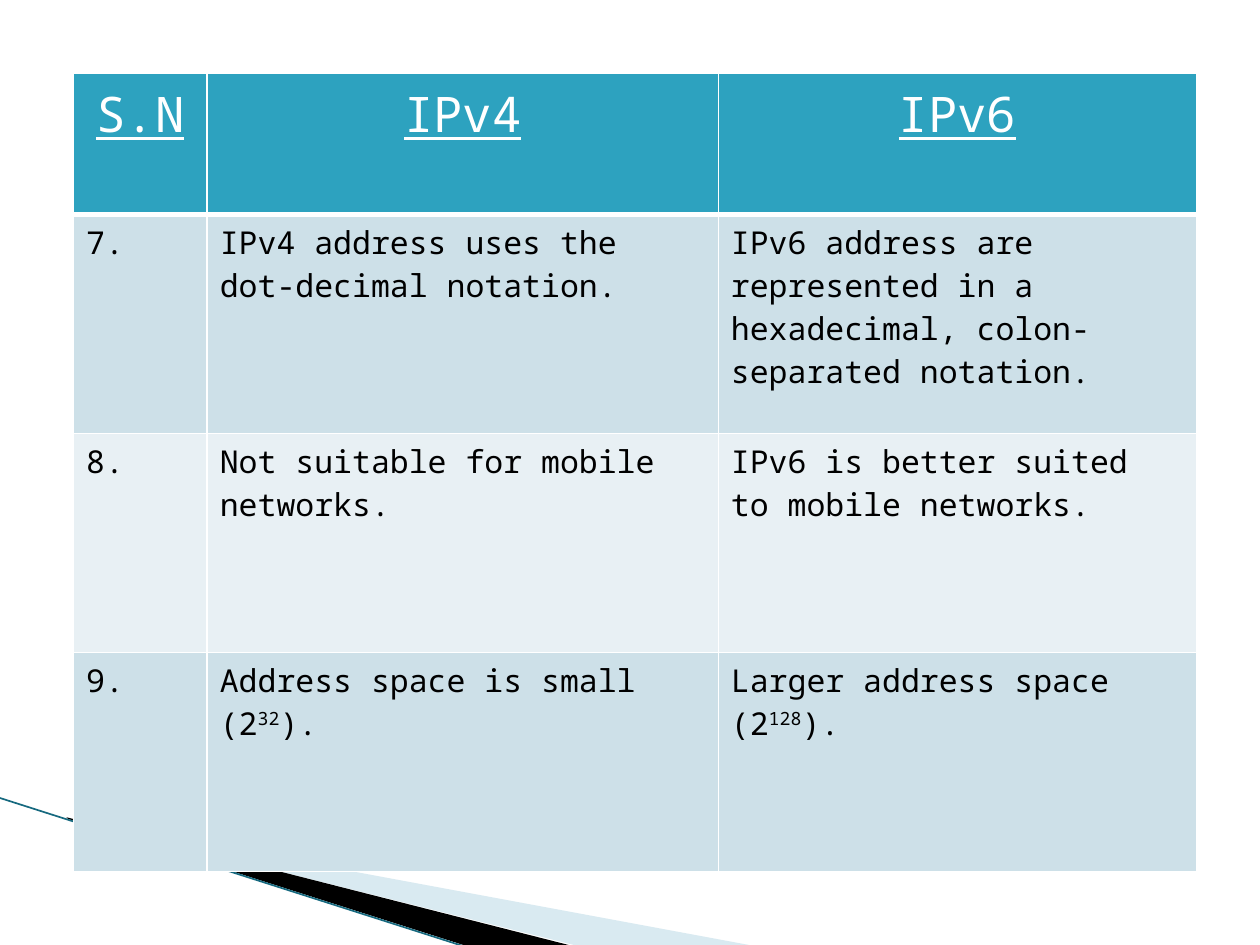
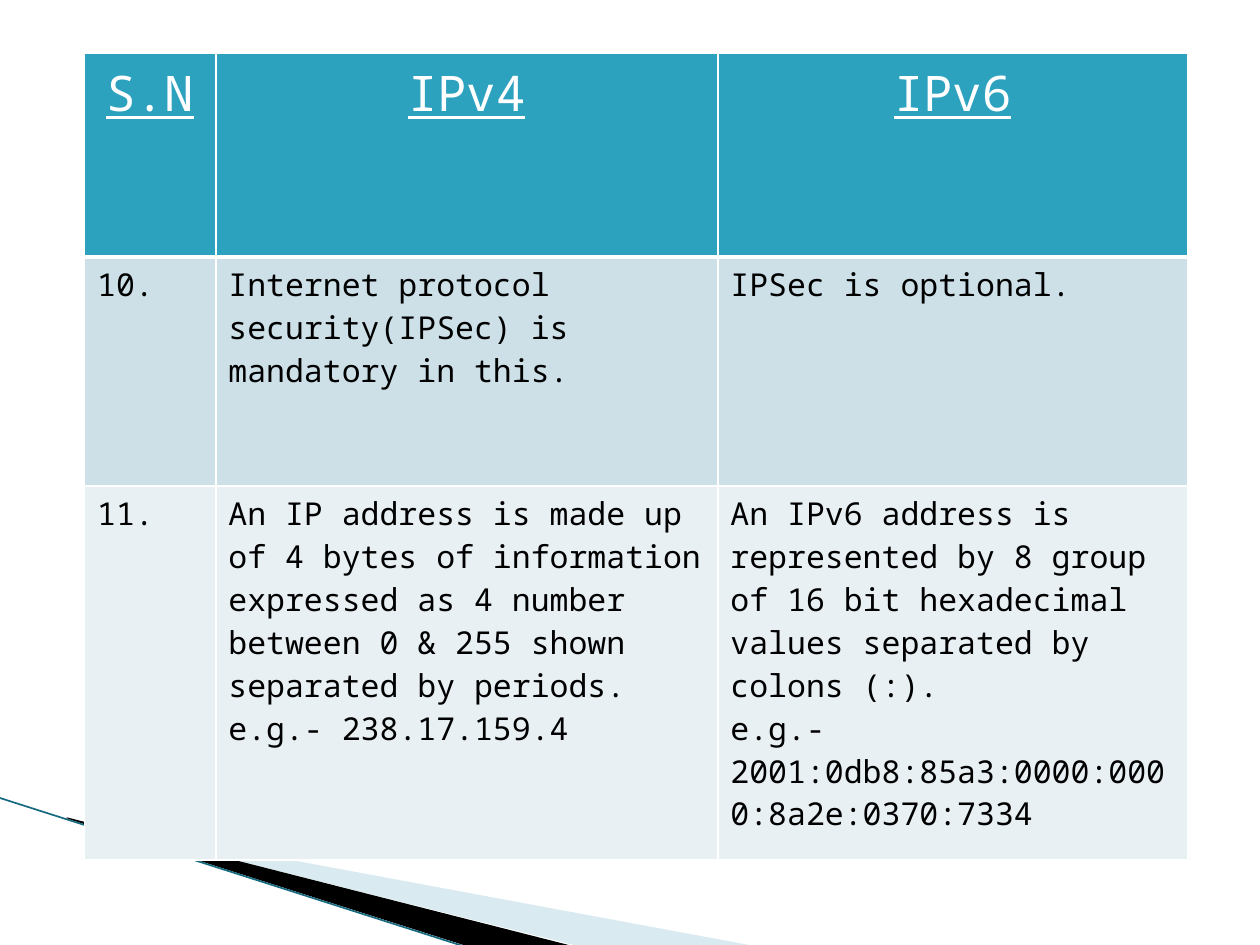
"""Build two slides that compare IPv4 with IPv6 in tables."""
import pptx
import pptx.util
import pptx.dml.color
import pptx.enum.dml
import pptx.enum.shapes
import pptx.enum.text
import pptx.oxml
import pptx.oxml.ns
from dataclasses import dataclass

HEAD = ("S.N", "IPv4", "IPv6")
SHARES = (0.119, 0.455, 0.426)

SLIDES = [
    {
        "left": 42, "top": 42, "width": 642,
        "heights": (80.6, 125.2, 125.2, 125.2),
        "rows": [
            ("7.", "IPv4 address uses the dot-decimal notation.",
             "IPv6 address are represented in a hexadecimal, colon-separated notation."),
            ("8.", "Not suitable for mobile networks.",
             "IPv6 is better suited to mobile networks."),
            ("9.", "Address space is small (2^32^).",
             "Larger address space (2^128^)."),
        ],
    },
    {
        "left": 48.3, "top": 30.2, "width": 630.5,
        "heights": (116.6, 131, 213.8),
        "rows": [
            ("10.", "Internet protocol security(IPSec) is mandatory in this.",
             "IPSec is optional."),
            ("11.",
             "An IP address is made up of 4 bytes of information expressed as 4 number "
             "between 0 & 255 shown separated by periods.\n"
             "e.g.- 238.17.159.4",
             "An IPv6 address is represented by 8 group of 16 bit hexadecimal values "
             "separated by colons (:).\n"
             "e.g.- 2001:0db8:85a3:0000:0000:8a2e:0370:7334"),
        ],
    },
]

PALE = [(39.6, 468.5), (428.4, 540.5), (328.3, 540.5), (39.6, 468)]
DARK = [(38.2, 467.3), (329, 540.7), (267.8, 541.4), (38.9, 468)]
EDGE = [(-0.7, 455.8), (267.1, 541.4)]


@dataclass(frozen=True)
class Theme:
    font: str = "Noto Sans Mono"
    large: int = 28
    small: int = 18
    white: str = "FFFFFF"
    black: str = "000000"
    head: str = "2DA2BF"
    bands: tuple = ("CDE0E8", "E8F0F4")
    pale: str = "A0CBDC"
    edge: str = "16697F"


THEME = Theme()
Pt = pptx.util.Pt


def rgb(code):
    return pptx.dml.color.RGBColor.from_string(code)


def put_text(frame, text, size=THEME.small, color=THEME.black, line=None, align=None):
    for index, part in enumerate(text.split("\n")):
        para = frame.add_paragraph() if index else frame.paragraphs[0]
        para.alignment = align
        for spot, piece in enumerate(part.split("^")):
            run = para.add_run()
            run.text = piece
            font = run.font
            font.name, font.size, font.underline = THEME.font, Pt(size), line
            font.color.rgb = rgb(color)
            if spot % 2:
                run._r.get_or_add_rPr().set("baseline", "30000")


def paint(cell, color, base):
    props = cell._tc.get_or_add_tcPr()
    for side in "LRTB":
        width = Pt(base if side == "B" else 1)
        props.append(pptx.oxml.parse_xml(
            f'<a:ln{side} {pptx.oxml.ns.nsdecls("a")} w="{width}"><a:solidFill>'
            f'<a:srgbClr val="{THEME.white}"/></a:solidFill></a:ln{side}>'))
    cell.fill.solid()
    cell.fill.fore_color.rgb = rgb(color)


def add_wedge(slide, points, color, alpha=100):
    form = slide.shapes.build_freeform(*points[0], scale=Pt(1))
    form.add_line_segments(points[1:])
    shape = form.convert_to_shape()
    shape.shadow.inherit = False
    shape.fill.solid()
    shape.fill.fore_color.rgb = rgb(color)
    shape.line.fill.background()
    if alpha < 100:
        tint = shape._element.spPr.find(".//" + pptx.oxml.ns.qn("a:srgbClr"))
        tint.append(pptx.oxml.parse_xml(
            f'<a:alpha {pptx.oxml.ns.nsdecls("a")} val="{alpha * 1000}"/>'))


def add_decor(slide):
    add_wedge(slide, PALE, THEME.pale, alpha=40)
    add_wedge(slide, DARK, THEME.black)
    ends = [Pt(value) for point in EDGE for value in point]
    line = slide.shapes.add_connector(pptx.enum.shapes.MSO_CONNECTOR.STRAIGHT, *ends)
    line.line.color.rgb = rgb(THEME.edge)
    line.line.width = Pt(0.95)
    line._element.spPr.append(pptx.oxml.parse_xml(
        f'<a:effectLst {pptx.oxml.ns.nsdecls("a")}/>'))


def add_grid(slide, left, top, width, heights, rows):
    table = slide.shapes.add_table(
        len(heights), len(HEAD), Pt(left), Pt(top), Pt(width), Pt(sum(heights))).table
    table.first_row = table.horz_banding = False
    for column, share in zip(table.columns, SHARES):
        column.width = Pt(width * share)
    for row, height in zip(table.rows, heights):
        row.height = Pt(height)
    for r, texts in enumerate([HEAD, *rows]):
        for c, text in enumerate(texts):
            cell = table.cell(r, c)
            if r:
                paint(cell, THEME.bands[(r - 1) % 2], base=1)
                put_text(cell.text_frame, text)
            else:
                paint(cell, THEME.head, base=3)
                put_text(cell.text_frame, text, size=THEME.large, color=THEME.white,
                         line=True, align=pptx.enum.text.PP_ALIGN.CENTER)


def main():
    deck = pptx.Presentation()
    deck.slide_width, deck.slide_height = Pt(720), Pt(540)
    for content in SLIDES:
        slide = deck.slides.add_slide(deck.slide_layouts[6])
        add_decor(slide)
        add_grid(slide, **content)
    deck.save("out.pptx")


if __name__ == "__main__":
    main()
